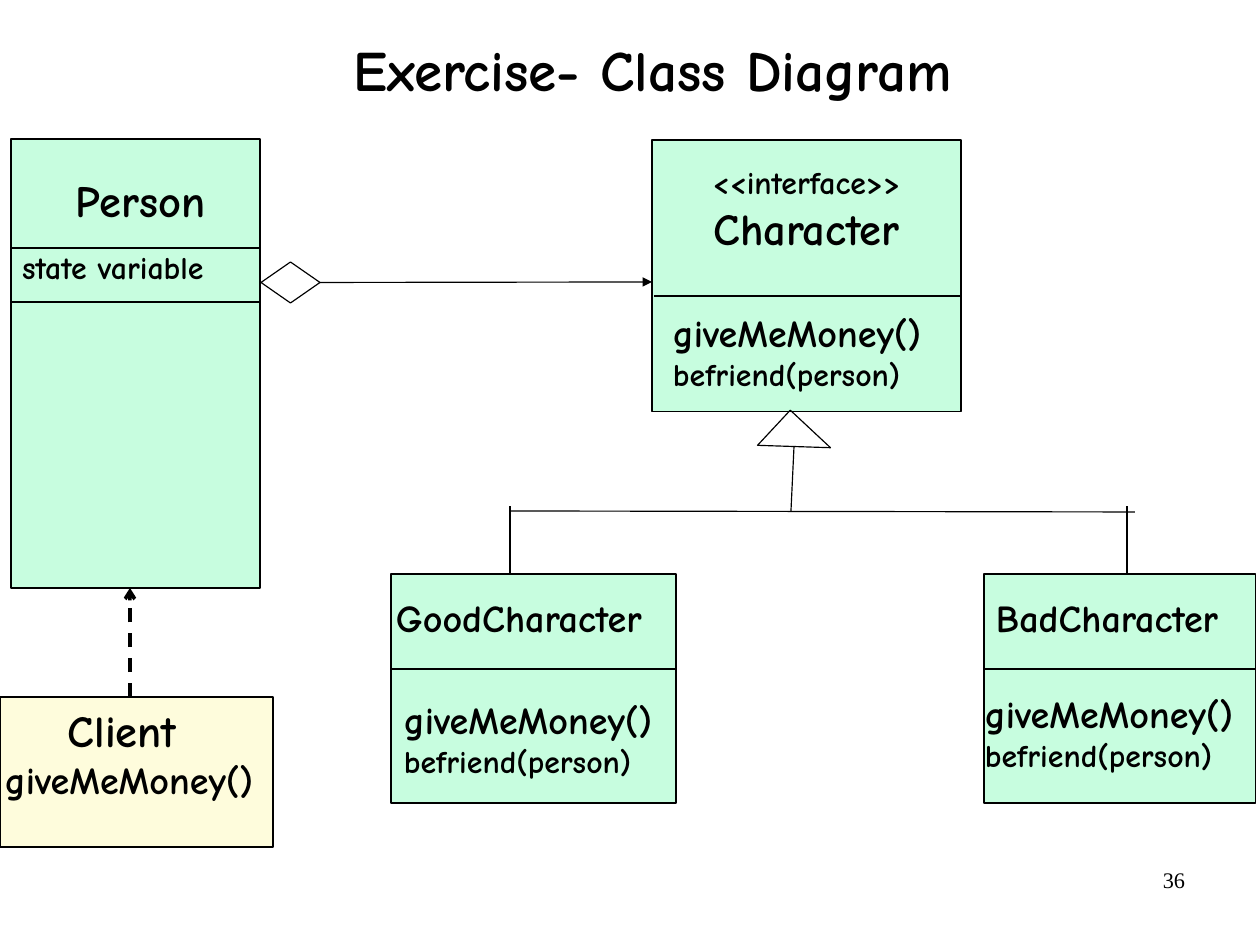
"""Build a class diagram slide: Person, Character, its two subclasses and Client."""
import pptx
import pptx.dml.color
import pptx.enum.dml
import pptx.enum.shapes
import pptx.enum.text
import pptx.oxml.ns
import pptx.util
from lxml import etree

EMU_PER_PX = 8000
BLACK, MINT, CREAM = "000000", "C7FDDF", "FEFCDC"
HEADING, STEREOTYPE, METHOD = 28, 20, 24
SHAPE = pptx.enum.shapes.MSO_SHAPE
ALIGN = pptx.enum.text.PP_ALIGN
ANCHOR = pptx.enum.text.MSO_ANCHOR


def px(*lengths):
    return [length * EMU_PER_PX for length in lengths]


def rgb(color):
    return pptx.dml.color.RGBColor.from_string(color)


deck = pptx.Presentation()
deck.slide_width, deck.slide_height = px(1260, 945)
slide = deck.slides.add_slide(deck.slide_layouts[6])

symbols = {}
for name, kind, bounds, color, rotation in [
    ("good", SHAPE.RECTANGLE, (391, 574, 285, 229), MINT, 0),
    ("bad", SHAPE.RECTANGLE, (984, 574, 272, 229), MINT, 0),
    ("person", SHAPE.RECTANGLE, (11, 139, 249, 449), MINT, 0),
    ("character", SHAPE.RECTANGLE, (652, 140, 309, 272), MINT, 0),
    ("client", SHAPE.RECTANGLE, (0, 697, 273, 150), CREAM, 0),
    ("aggregation", SHAPE.DIAMOND, (261, 262, 59, 41), None, 0),
    ("inheritance", SHAPE.RIGHT_TRIANGLE, (770, 419, 48, 55), None, 133),
]:
    symbol = slide.shapes.add_shape(kind, *px(*bounds))
    symbol.shadow.inherit = False
    symbol.rotation = rotation
    if color:
        symbol.fill.solid()
        symbol.fill.fore_color.rgb = rgb(color)
    else:
        symbol.fill.background()
    symbol.line.color.rgb = rgb(BLACK)
    symbol.line.width = pptx.util.Pt(0.75)
    symbols[name] = symbol

relations = {}
for name, ends, width, dash, arrowhead in [
    ("person name rule", (11, 248, 260, 248), 0.75, None, None),
    ("person state rule", (11, 302, 260, 302), 0.75, None, None),
    ("character rule", (654, 296, 962, 296), 0.75, None, None),
    ("good rule", (391, 669, 676, 669), 0.75, None, None),
    ("bad rule", (984, 669, 1256, 669), 0.75, None, None),
    ("aggregation", (320, 282, 652, 282), 0.75, None, "triangle"),
    ("good branch", (510, 574, 510, 506), 0.75, None, None),
    ("bad branch", (1127, 574, 1127, 506), 0.75, None, None),
    ("inheritance stem", (794, 447, 791, 511), 0.75, None, None),
    ("inheritance bar", (511, 511, 1135, 512), 0.75, None, None),
    ("client use", (130, 697, 130, 588), 2.25, pptx.enum.dml.MSO_LINE.DASH, "arrow"),
]:
    relation = slide.shapes.add_connector(pptx.enum.shapes.MSO_CONNECTOR.STRAIGHT, *px(*ends))
    properties = relation.element.spPr
    relation.line.color.rgb = rgb(BLACK)
    relation.line.width = pptx.util.Pt(width)
    if dash:
        relation.line.dash_style = dash
    if arrowhead:
        outline = properties.find(pptx.oxml.ns.qn("a:ln"))
        etree.SubElement(outline, pptx.oxml.ns.qn("a:tailEnd"), type=arrowhead)
    etree.SubElement(properties, pptx.oxml.ns.qn("a:effectLst"))
    relations[name] = relation
relations["aggregation"].begin_connect(symbols["aggregation"], 3)

methods = [("giveMeMoney()", METHOD), ("befriend(person)", STEREOTYPE)]
comic = {"name": "Comic Neue", "bold": True}
times = {"name": "Times New Roman", "bold": False}
captions = {}
for name, bounds, lines, align, anchor, face in [
    ("title", (115, 0, 1075, 111), [("Exercise- Class Diagram", 36)],
     ALIGN.CENTER, ANCHOR.BOTTOM, comic),
    ("person", (0, 166, 281, 66), [("Person", HEADING)], ALIGN.CENTER, ANCHOR.TOP, comic),
    ("state", (9, 241, 240, 50), [("state variable", STEREOTYPE)], ALIGN.LEFT, ANCHOR.TOP, comic),
    ("character", (683, 156, 247, 105), [("<<interface>>", STEREOTYPE), ("Character", HEADING)],
     ALIGN.CENTER, ANCHOR.TOP, comic),
    ("character methods", (660, 302, 297, 144), methods, ALIGN.LEFT, ANCHOR.TOP, comic),
    ("good", (383, 587, 297, 58), [("GoodCharacter", METHOD)], ALIGN.LEFT, ANCHOR.TOP, comic),
    ("bad", (983, 587, 275, 58), [("BadCharacter", METHOD)], ALIGN.LEFT, ANCHOR.TOP, comic),
    ("good methods", (391, 689, 297, 97), methods, ALIGN.LEFT, ANCHOR.TOP, comic),
    ("bad methods", (972, 683, 297, 97), methods, ALIGN.LEFT, ANCHOR.TOP, comic),
    ("client", (-8, 696, 295, 158), [("Client", HEADING), ("giveMeMoney()", METHOD)],
     ALIGN.LEFT, ANCHOR.TOP, comic),
    ("page number", (904, 859, 294, 65), [("36", 14)], ALIGN.RIGHT, ANCHOR.TOP, times),
]:
    frame = slide.shapes.add_textbox(*px(*bounds)).text_frame
    side, edge = px(13, 7)
    for attribute, value in {
        "word_wrap": True, "vertical_anchor": anchor,
        "margin_left": side, "margin_right": side,
        "margin_top": edge, "margin_bottom": edge,
    }.items():
        setattr(frame, attribute, value)
    frame.text = "\n".join(text for text, size in lines)
    for paragraph, (text, size) in zip(frame.paragraphs, lines):
        paragraph.alignment = align
        font = paragraph.runs[0].font
        for attribute, value in {**face, "size": pptx.util.Pt(size)}.items():
            setattr(font, attribute, value)
        font.color.rgb = rgb(BLACK)
    captions[name] = frame.paragraphs[0]

captions["title"].line_spacing = 0.88
client_indent, = px(63)
captions["client"]._p.get_or_add_pPr().set("marL", str(client_indent))

deck.save("out.pptx")
